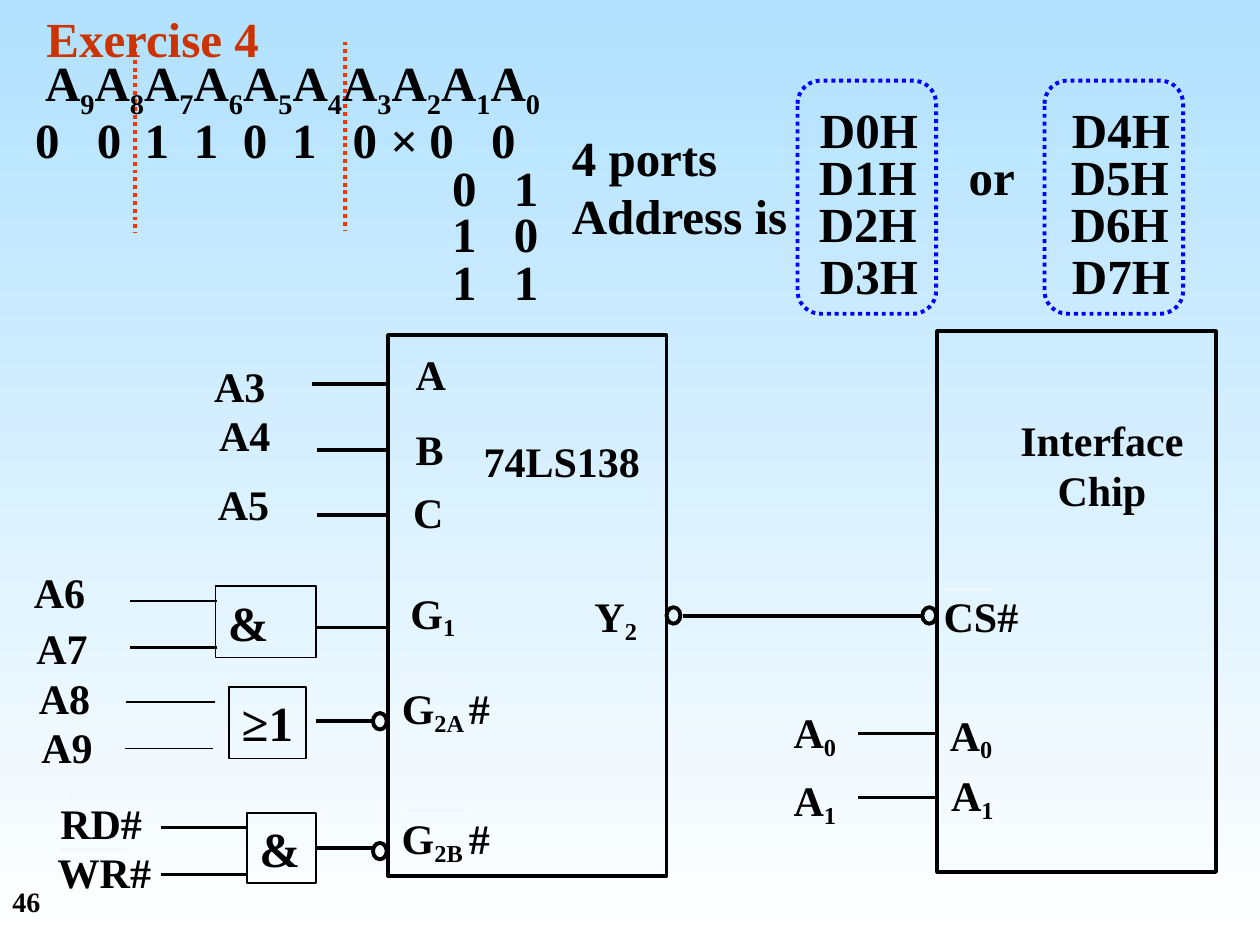
from typing import NamedTuple, Optional

from lxml import etree
from pptx import Presentation
from pptx import util as u
from pptx.dml.color import RGBColor
from pptx.enum import dml, shapes, text
from pptx.oxml.ns import qn

FONT = "Times New Roman"
BLACK, RUST, RED = "000000", "CC3300", "FF3300"
BLUE, PALE, SKY, WHITE = "0000FF", "F0F8FE", "B1E1FF", "FFFFFF"
DOT = dml.MSO_LINE.ROUND_DOT
KIND = shapes.MSO_SHAPE


class Label(NamedTuple):
    """Text in which underscores switch subscript on and off."""
    words: str
    x: float
    y: float
    w: float
    h: float = 0.5
    size: int = 24
    color: str = BLACK
    wrap: bool = False
    mid: bool = False
    tabs: tuple = ()


class Box(NamedTuple):
    x: float
    y: float
    w: float
    h: float
    kind: int = KIND.RECTANGLE
    width: float = 2.25
    color: str = BLACK
    dash: Optional[int] = None
    words: str = ""


class Wire(NamedTuple):
    x1: float
    y1: float
    x2: float
    y2: float
    width: float = 2.25
    color: str = BLACK
    dash: Optional[int] = None


def rgb(code: str) -> RGBColor:
    return RGBColor.from_string(code)


def write(frame, item: Label) -> None:
    frame.word_wrap = item.wrap
    frame.vertical_anchor = text.MSO_ANCHOR.TOP
    frame.auto_size = text.MSO_AUTO_SIZE.SHAPE_TO_FIT_TEXT
    frame.text = item.words.replace("_", "")
    for para, line in zip(frame.paragraphs, item.words.split("\n")):
        para.alignment = text.PP_ALIGN.CENTER if item.mid else text.PP_ALIGN.LEFT
        if item.tabs:
            stops = etree.SubElement(para._p.get_or_add_pPr(), qn("a:tabLst"))
            for pos in item.tabs:
                etree.SubElement(stops, qn("a:tab"), pos=str(u.Inches(pos)), algn="l")
        parts = line.split("_")
        para.runs[0].text = parts[0]
        for part in parts[1:]:
            para.add_run().text = part
        for i, run in enumerate(para.runs):
            run.font.name, run.font.size = FONT, u.Pt(item.size)
            run.font.bold = True
            run.font.color.rgb = rgb(item.color)
            if i % 2:
                drop = "-25000" if item.size > 24 else "-18000"
                run._r.get_or_add_rPr().set("baseline", drop)


def stroke(line, item) -> None:
    line.color.rgb = rgb(item.color)
    line.width = u.Pt(item.width)
    if item.dash:
        line.dash_style = item.dash


def add_label(slide, item: Label):
    box = slide.shapes.add_textbox(*map(u.Inches, item[1:5]))
    write(box.text_frame, item)
    return box


def add_box(slide, item: Box):
    box = slide.shapes.add_shape(item.kind, *map(u.Inches, item[:4]))
    box.shadow.inherit = False
    box.fill.background()
    stroke(box.line, item)
    if item.words:
        write(box.text_frame, Label(item.words, *item[:4], size=28))
    return box


def add_wire(slide, item: Wire):
    wire = slide.shapes.add_connector(
        shapes.MSO_CONNECTOR.STRAIGHT, *map(u.Inches, item[:4]))
    stroke(wire.line, item)
    etree.SubElement(wire._element.spPr, qn("a:effectLst"))
    return wire


def big(words: str, x: float, y: float, w: float, **more) -> Label:
    """Label in the 28 point size of the address area."""
    return Label(words, x, y, w, 0.57, 28, wrap=True, **more)


def bubble(x: float, y: float) -> Box:
    return Box(x, y, 0.11, 0.13, KIND.OVAL)


BITS = (0.49, 0.87, 1.26, 1.65, 2.04, 2.52, 2.82, 3.13, 3.62)
PORTS = (1.19, 2)

BOXES = [
    Box(3.08, 2.66, 2.21, 4.29),
    Box(7.44, 2.63, 2.21, 4.29),
    Box(1.71, 4.65, 0.8, 0.57, width=1, words="&"),
    Box(1.82, 5.45, 0.61, 0.57, width=1, words="≥1"),
    bubble(5.29, 4.82), bubble(7.32, 4.82),
    bubble(2.96, 5.66), bubble(2.96, 6.69),
] + [Box(x, 0.64, 1.1, 1.85, KIND.ROUNDED_RECTANGLE, color=BLUE, dash=DOT)
     for x in (6.33, 8.29)]

WIRES = [
    Wire(2.48, 3.05, 3.08, 3.05),
    Wire(2.52, 3.57, 3.08, 3.57),
    Wire(2.52, 4.09, 3.08, 4.09),
    Wire(2.51, 4.98, 3.07, 4.98),
    Wire(5.42, 4.89, 7.33, 4.89),
    Wire(2.96, 5.72, 2.51, 5.72),
    Wire(1.71, 5.57, 1, 5.57, 1),
    Wire(1.69, 5.94, 0.99, 5.94, 1),
    Wire(2.74, 0.33, 2.74, 1.83, color=RED, dash=DOT),
    Wire(1.07, 0.35, 1.07, 1.85, color=RED, dash=DOT),
]
WIRES += [Wire(x + 0.69, y, x, y, 1.5)
          for x, top in ((1.03, 4.77), (1.28, 6.57)) for y in (top, top + 0.37)]
WIRES += [Wire(7.42, y, 6.81, y, 1.5) for y in (5.82, 6.33)]
WIRES += [Wire(x, y, x + w, y, 1.5, PALE) for x, y, w in (
    (3.19, 6.43, 0.51), (0.53, 6.32, 0.52), (0.48, 6.74, 0.52),
    (7.5, 4.68, 0.37), (3.12, 5.4, 0.52))]

LABELS = [
    Label("46", 0, 6.97, 2.08, size=16, wrap=True),
    big("Exercise 4", 0.27, 0.02, 2.95, color=RUST),
    Label("".join(f"A_{n}_" for n in range(9, -1, -1)).rstrip("_"),
          0.26, 0.37, 4.13, 0.63, 28),
    big("\t".join("0011010×00"), 0.18, 0.82, 4.35, tabs=BITS),
    Label("4 ports\nAddress is", 4.44, 0.96, 1.91, 1.04, 28),
    Label("Interface\nChip", 7.9, 3.24, 1.69, 0.9, wrap=True, mid=True),
    Label("74LS138", 3.74, 3.41, 1.44),
    Label("A", 3.2, 2.72, 0.44),
    Label("B", 3.2, 3.31, 0.42),
    Label("C", 3.18, 3.81, 0.44),
    Label("G_1", 3.16, 4.61, 0.7, 0.54, wrap=True),
    Label("G_2A _#", 3.09, 5.37, 0.91, 0.54),
    Label("G_2B _#", 3.09, 6.4, 0.9, 0.54),
    Label("Y_2", 4.62, 4.64, 0.54, 0.53),
    Label("CS#", 7.39, 4.64, 0.79),
    Label("RD#", 0.38, 6.28, 0.85),
    Label("WR#", 0.36, 6.67, 0.94),
]
LABELS += [big("\t".join(pair), 3.49, y, 1.03, tabs=BITS[:1])
           for pair, y in (("01", 1.2), ("10", 1.57), ("11", 1.95))]
LABELS += [big(f"D{n}H\t{word}\tD{n + 4}H", x, y, 3.13, tabs=PORTS)
           for n, (x, y, word) in enumerate((
               (6.41, 0.74, ""), (6.4, 1.11, "or"),
               (6.4, 1.49, ""), (6.41, 1.9, "")))]
LABELS += [Label(f"A{n}", x, y, 0.61) for n, (x, y) in enumerate((
    (1.6, 2.81), (1.64, 3.2), (1.63, 3.75), (0.17, 4.45),
    (0.19, 4.89), (0.21, 5.29), (0.23, 5.68)), 3)]
LABELS += [Label(f"A_{n}", x, y, 0.54, 0.53) for n, x, y in (
    (0, 7.44, 5.58), (1, 7.45, 6.06), (0, 6.2, 5.56), (1, 6.2, 6.1))]


def main() -> None:
    deck = Presentation()
    deck.slide_width, deck.slide_height = u.Inches(10), u.Inches(7.5)
    slide = deck.slides.add_slide(deck.slide_layouts[6])
    fill = slide.background.fill
    fill.gradient()
    fill.gradient_angle = 270
    for stop, pos, code in zip(fill.gradient_stops, (0, 1), (SKY, WHITE)):
        stop.position, stop.color.rgb = pos, rgb(code)

    for item in BOXES:
        add_box(slide, item)
    for item in WIRES:
        add_wire(slide, item)
    gate = add_box(slide, Box(1.96, 6.45, 0.55, 0.56, width=1, words="&"))
    out = add_wire(slide, Wire(2.96, 6.73, 2.51, 6.73))
    out.end_connect(gate, 3)
    for item in LABELS:
        add_label(slide, item)
    deck.save("out.pptx")


if __name__ == "__main__":
    main()
